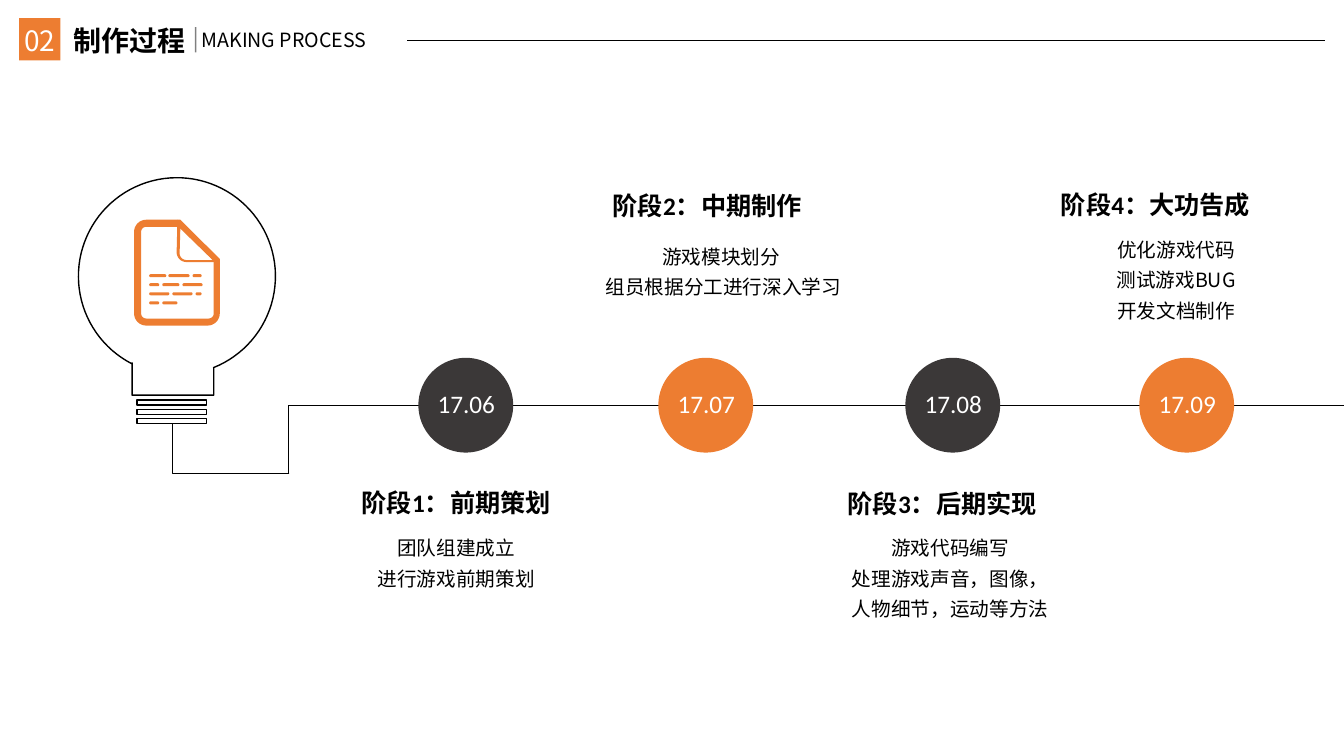
from math import atan2, cos, hypot, pi, sin

from lxml import etree
from pptx import Presentation
from pptx.dml.color import RGBColor
from pptx.enum.shapes import MSO_CONNECTOR as CONNECTOR, MSO_SHAPE as SHAPE
from pptx.enum.text import MSO_ANCHOR as ANCHOR, PP_ALIGN as ALIGN
from pptx.oxml.ns import qn
from pptx.util import Inches, Pt

ORANGE = RGBColor(0xED, 0x7D, 0x31)
DARK = RGBColor(0x3B, 0x38, 0x38)
BLACK = RGBColor(0, 0, 0)
WHITE = RGBColor(255, 255, 255)
CJK = "Noto Sans CJK SC"
LATIN = "Calibri"

# Content: date, circle left, colour, heading parts, heading box, lines, lines box
STAGES = [
    ("17.06", 4.15, DARK, ("阶段1", "：前期策划"), (3.28, 4.79, 2.49, 0.4),
     ["团队组建成立", "进行游戏前期策划"], (3.12, 5.2, 2.81, 1.02)),
    ("17.07", 6.53, ORANGE, ("阶段2", "：中期制作"), (5.77, 1.84, 2.49, 0.4),
     ["游戏模块划分 ", "组员根据分工进行深入学习"], (5.77, 2.31, 2.81, 0.71)),
    ("17.08", 8.98, DARK, ("阶段3", "：后期实现"), (8.02, 4.79, 2.65, 0.71),
     ["游戏代码编写", "处理游戏声音，图像，", "人物细节，运动等方法"], (8.02, 5.2, 2.81, 1.32)),
    ("17.09", 11.3, ORANGE, ("阶段4", "：大功告成"), (10.17, 1.83, 2.58, 0.71),
     ["优化游戏代码", "测试游戏BUG", "开发文档制作"], (10.26, 2.24, 2.81, 1.02)),
]
CIRCLE_TOP, CIRCLE_SIZE = 3.55, 0.94

# Bulb: circle, then the neck below it
BULB_X, BULB_Y, BULB_RADIUS = 1.755, 2.74, 0.977
NECK_RIGHT, NECK_LEFT = (2.12, 3.65), (1.31, 3.6)
NECK_BOTTOM = 3.92
THREAD_TOPS = [3.97, 4.06, 4.15]

# Document icon: corners as x, y, radius; dashes as left, width by row
PAGE = [
    [(1.33, 2.18, 0.12), (1.79, 2.18, 0), (2.18, 2.57, 0), (2.18, 3.23, 0.12), (1.33, 3.23, 0.12)],
    [(1.4, 2.25, 0.05), (1.77, 2.25, 0), (2.12, 2.59, 0), (2.12, 3.16, 0.05), (1.4, 3.16, 0.05)],
]
FOLD = [
    [(1.76, 2.18, 0), (1.75, 2.6, 0.1), (2.18, 2.6, 0)],
    [(1.79, 2.24, 0), (1.78, 2.58, 0.07), (2.11, 2.58, 0)],
]
DASH_ROWS = [
    [(1.48, 0.17), (1.67, 0.21), (1.91, 0.09)],
    [(1.48, 0.1), (1.61, 0.17), (1.81, 0.2)],
    [(1.48, 0.2), (1.71, 0.2), (1.94, 0.06)],
    [(1.48, 0.1), (1.61, 0.15)],
]
DASH_TOP, DASH_STEP, DASH_HEIGHT = 2.72, 0.09, 0.03

presentation = Presentation()
presentation.slide_width, presentation.slide_height = Inches(13.33), Inches(7.5)
slide = presentation.slides.add_slide(presentation.slide_layouts[6])
shapes = slide.shapes


def paint(shape, fill, line=None):
    shape.shadow.inherit = False
    shape.fill.solid()
    shape.fill.fore_color.rgb = fill
    if line is None:
        shape.line.fill.background()
    else:
        shape.line.color.rgb = line
        shape.line.width = Pt(1)
    return shape


def add_block(kind, box, fill, line=None):
    return paint(shapes.add_shape(kind, *map(Inches, box)), fill, line)


def add_outline(contours, fill, line=None):
    builder = None
    for contour in contours:
        points = [(Inches(x), Inches(y)) for x, y in contour]
        if builder is None:
            builder = shapes.build_freeform(*points[0])
        else:
            builder.move_to(*points[0])
        builder.add_line_segments(points[1:], close=True)
    return paint(builder.convert_to_shape(), fill, line)


def round_corners(corners, steps=8):
    points = []
    for index, (x, y, radius) in enumerate(corners):
        if not radius:
            points.append((x, y))
            continue
        ends = []
        for other_x, other_y, _ in (corners[index - 1], corners[(index + 1) % len(corners)]):
            share = radius / hypot(other_x - x, other_y - y)
            ends.append(((other_x - x) * share, (other_y - y) * share))
        (start_x, start_y), (end_x, end_y) = ends
        for step in range(steps + 1):
            angle = pi / 2 * step / steps
            a, b = 1 - sin(angle), 1 - cos(angle)
            points.append((x + start_x * a + end_x * b, y + start_y * a + end_y * b))
    return points


def add_line(start, end, width=0.5, kind=CONNECTOR.STRAIGHT):
    connector = shapes.add_connector(kind, *map(Inches, start + end))
    connector.line.color.rgb = BLACK
    connector.line.width = Pt(width)
    etree.SubElement(connector._element.spPr, qn("a:effectLst"))
    return connector


def add_text(box, lines, size, color=BLACK, font=CJK, bold=False, align=ALIGN.CENTER,
             anchor=ANCHOR.TOP, wrap=True, spacing=None):
    """Each line is a list of (text, font) runs or a plain string."""
    frame = shapes.add_textbox(*map(Inches, box)).text_frame
    frame.word_wrap = wrap
    frame.vertical_anchor = anchor
    for index, line in enumerate(lines):
        paragraph = frame.paragraphs[0] if index == 0 else frame.add_paragraph()
        paragraph.alignment = align
        paragraph.line_spacing = spacing
        for text, face in [(line, font)] if isinstance(line, str) else line:
            run = paragraph.add_run()
            run.text = text
            run.font.size, run.font.bold, run.font.name = Pt(size), bold, face
            run.font.color.rgb = color
            etree.SubElement(run._r.get_or_add_rPr(), qn("a:ea")).set("typeface", CJK)


# Cable from the bulb, then the timeline
cable = add_line((2.87, 4.7), (1.71, 4.2), kind=CONNECTOR.ELBOW)
cable._element.spPr.find(qn("a:prstGeom")).set("prst", "bentConnector2")
timeline = add_line((2.87, 4.7), (13.33, 4.02), kind=CONNECTOR.ELBOW)
adjustments = timeline._element.spPr.find(qn("a:prstGeom")).find(qn("a:avLst"))
guide = etree.SubElement(adjustments, qn("a:gd"))
guide.set("name", "adj1")
guide.set("fmla", "val -100")

# Bulb
start_angle = atan2(NECK_RIGHT[1] - BULB_Y, NECK_RIGHT[0] - BULB_X)
end_angle = atan2(NECK_LEFT[1] - BULB_Y, NECK_LEFT[0] - BULB_X) - 2 * pi
ARC_STEPS = 90
bulb = []
for step in range(ARC_STEPS + 1):
    angle = start_angle + (end_angle - start_angle) * step / ARC_STEPS
    bulb.append((BULB_X + BULB_RADIUS * cos(angle), BULB_Y + BULB_RADIUS * sin(angle)))
bulb += [NECK_LEFT, (NECK_LEFT[0], NECK_BOTTOM), (NECK_RIGHT[0], NECK_BOTTOM), NECK_RIGHT]
add_outline([bulb], WHITE, BLACK)
for top in THREAD_TOPS:
    add_block(SHAPE.RECTANGLE, (1.36, top, 0.69, 0.05), WHITE, BLACK)

# Header
add_text((0.63, 0.18, 1.38, 0.44), ["制作过程"], 20, bold=True, align=ALIGN.LEFT,
         anchor=ANCHOR.MIDDLE)
add_text((1.9, 0.23, 1.95, 0.34), ["MAKING PROCESS"], 14, align=ALIGN.LEFT, wrap=False)
add_block(SHAPE.RECTANGLE, (0.19, 0.18, 0.41, 0.42), ORANGE)
add_text((-0.08, 0.18, 0.95, 0.44), ["02"], 20, WHITE, anchor=ANCHOR.MIDDLE)
add_line((4.04, 0.4), (13.14, 0.4))
divider = add_line((1.94, 0.27), (1.94, 0.52), 1)
divider_color = next(divider._element.spPr.iter(qn("a:srgbClr")))
etree.SubElement(divider_color, qn("a:alpha")).set("val", "49000")

# Stages
for date, left, color, heading, heading_box, lines, lines_box in STAGES:
    add_block(SHAPE.OVAL, (left, CIRCLE_TOP, CIRCLE_SIZE, CIRCLE_SIZE), color)
    add_text((left + 0.03, 3.8, 0.89, 0.4), [date], 18, WHITE, LATIN, anchor=ANCHOR.MIDDLE)
    add_text(heading_box, [list(zip(heading, (LATIN, CJK)))], 18, bold=True)
    add_text(lines_box, lines, 14, spacing=1.3)

# Document icon
for contours in (PAGE, FOLD):
    add_outline([round_corners(corners) for corners in contours], ORANGE)
for row, dashes in enumerate(DASH_ROWS):
    for left, width in dashes:
        dash = add_block(SHAPE.ROUNDED_RECTANGLE,
                         (left, DASH_TOP + row * DASH_STEP, width, DASH_HEIGHT), ORANGE)
        dash.adjustments[0] = 0.5

presentation.save("out.pptx")
